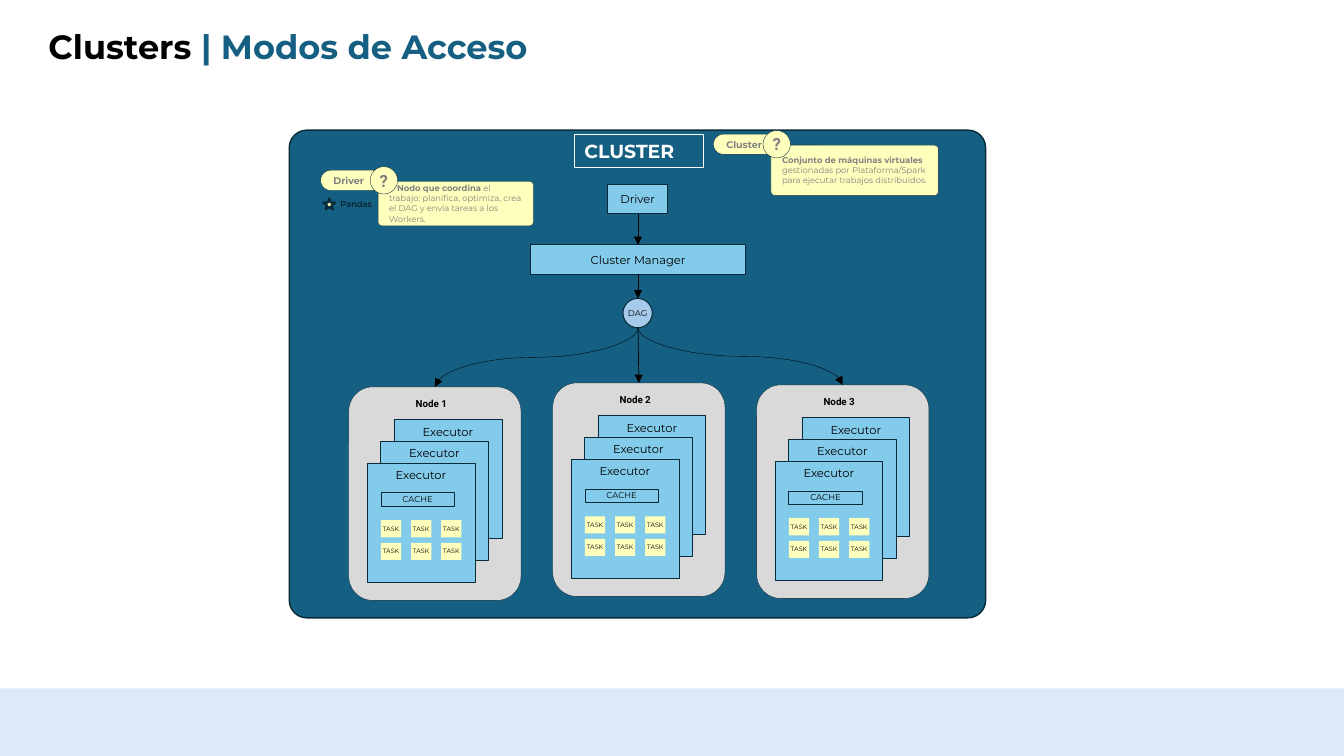
from dataclasses import dataclass

from lxml import etree
from pptx import Presentation
from pptx import util as u
from pptx.dml import color
from pptx.enum import shapes, text
from pptx.oxml import ns

KIND = shapes.MSO_SHAPE
MID, TOP = text.MSO_ANCHOR.MIDDLE, text.MSO_ANCHOR.TOP
LEFT, CENTER = text.PP_ALIGN.LEFT, text.PP_ALIGN.CENTER


@dataclass(frozen=True)
class Theme:
    """Colours, fonts and type sizes of the slide."""
    teal: str = "156082"
    sky: str = "83CBEB"
    lilac: str = "A6CAEC"
    gray: str = "D9D9D9"
    note: str = "FFFFBD"
    pale: str = "DCEAF7"
    edge: str = "092A39"
    mute: str = "808080"
    black: str = "000000"
    white: str = "FFFFFF"
    main: str = "Montserrat"
    side: str = "Roboto"
    title: float = 24
    head: float = 13.5
    mark: float = 12
    body: float = 8.2
    node: float = 7
    pill: float = 6.8
    small: float = 6
    tiny: float = 4.5


T = Theme()


def tint(hue):
    """Return an RGB colour from its hex code."""
    return color.RGBColor.from_string(hue)


def write(shape, runs, size, hue=T.black, font=T.main, align=CENTER,
          anchor=MID, pad=False, indent=0):
    """Fill a shape with one paragraph of (words, bold, colour) runs."""
    frame = shape.text_frame
    frame.word_wrap = True
    frame.vertical_anchor = anchor
    frame.margin_left = frame.margin_right = u.Cm(0.25 if pad else 0)
    frame.margin_top = frame.margin_bottom = u.Cm(0.13 if pad else 0)
    para = frame.paragraphs[0]
    para.alignment = align
    if indent:
        para._p.get_or_add_pPr().set("indent", str(u.Cm(indent)))
    for words, bold, *own in runs:
        run = para.add_run()
        run.text = words
        run.font.name = font
        run.font.size = u.Pt(size)
        run.font.bold = bold
        run.font.color.rgb = tint(own[0] if own else hue)
    return para


def block(page, kind, box, fill=None, line=T.edge, width=0.5, round=None):
    """Draw a flat preset shape in a box given in centimetres."""
    shape = page.shapes.add_shape(kind, *map(u.Cm, box))
    shape.shadow.inherit = False
    if fill:
        shape.fill.solid()
        shape.fill.fore_color.rgb = tint(fill)
    else:
        shape.fill.background()
    if line:
        shape.line.color.rgb = tint(line)
        shape.line.width = u.Pt(width)
    else:
        shape.line.fill.background()
    if round is not None:
        shape.adjustments[0] = round
    return shape


def label(page, box, runs, size, **look):
    """Add a text box and return its paragraph."""
    return write(page.shapes.add_textbox(*map(u.Cm, box)), runs, size, **look)


def arrow(page, start, end, curve=False):
    """Draw an arrow downwards, straight or as an S curve."""
    kind = shapes.MSO_CONNECTOR.CURVE if curve else shapes.MSO_CONNECTOR.STRAIGHT
    link = page.shapes.add_connector(kind, *map(u.Cm, start + end))
    link.line.color.rgb = tint(T.black)
    link.line.width = u.Pt(0.25 if curve else 0.5)
    props = link.element.spPr
    etree.SubElement(link.line._ln, ns.qn("a:tailEnd"), type="triangle")
    etree.SubElement(props, ns.qn("a:effectLst"))
    if curve:
        (ax, ay), (bx, by) = start, end
        wide, high = by - ay, abs(bx - ax)
        link.left = u.Cm((ax + bx - wide) / 2)
        link.top = u.Cm((ay + by - high) / 2)
        link.width, link.height = u.Cm(wide), u.Cm(high)
        frame = props.find(ns.qn("a:xfrm"))
        frame.attrib.pop("flipH", None)
        frame.set("rot", str((90 if bx < ax else 270) * 60000))
        if bx > ax:
            frame.set("flipH", "1")


def node(page, x, y, name):
    """Draw a worker node with its executors, cache and tasks."""
    block(page, KIND.ROUNDED_RECTANGLE, (x, y, 4.34, 5.38), T.gray,
          width=0.25, round=0.14)
    for i in range(3):
        box = (x + 1.14 - 0.34 * i, y + 0.82 + 0.55 * i, 2.72, 3)
        write(block(page, KIND.RECTANGLE, box, T.sky), [("Executor", False)],
              T.body, anchor=TOP, pad=True)
    cache = block(page, KIND.RECTANGLE, (x + 0.81, y + 2.67, 1.85, 0.33), T.sky)
    write(cache, [("CACHE", False)], T.small)
    for i in range(6):
        row, col = divmod(i, 3)
        box = (x + 0.81 + 0.76 * col, y + 3.36 + 0.57 * row, 0.51, 0.43)
        task = block(page, KIND.RECTANGLE, box, T.note, line=None)
        write(task, [("TASK", False)], T.tiny)
    label(page, (x + 1.42, y + 0.13, 1.32, 0.56), [(name, True)], T.node,
          font=T.side)


def hint(page, x, y, name, size, runs, indent=0):
    """Draw a callout: a name pill, a card of text and a question badge."""
    def part(kind, box, round=None):
        return block(page, kind, box, T.note, width=0.25, round=round)

    pill = part(KIND.ROUNDED_RECTANGLE, (x, y, 1.57, 0.51), 0.5)
    write(pill, [(name, True)], T.pill, T.mute, align=LEFT, pad=True)
    card = part(KIND.ROUNDED_RECTANGLE, (x + 1.45, y + 0.28, *size), 0.08)
    write(card, runs, T.small, T.mute, align=LEFT, pad=True, indent=indent)
    badge = part(KIND.OVAL, (x + 1.25, y - 0.09, 0.69, 0.69))
    write(badge, [("?", True)], T.mark, T.mute, T.side)


def main():
    """Build the slide and save it."""
    deck = Presentation()
    deck.slide_width, deck.slide_height = u.Cm(33.87), u.Cm(19.05)
    page = deck.slides.add_slide(deck.slide_layouts[6])

    block(page, KIND.ROUNDED_RECTANGLE, (7.29, 3.28, 17.55, 12.29), T.teal,
          width=1, round=0.036)
    for kind, box, fill, name, size in (
            (KIND.RECTANGLE, (15.32, 4.65, 1.5, 0.74), T.sky, "Driver", T.body),
            (KIND.RECTANGLE, (13.36, 6.17, 5.44, 0.74), T.sky,
             "Cluster Manager", T.body),
            (KIND.OVAL, (15.7, 7.52, 0.74, 0.74), T.lilac, "DAG", T.small)):
        write(block(page, kind, box, fill, width=0.75), [(name, False)], size)

    mid = 16.08
    arrow(page, (mid, 5.39), (mid, 6.17))
    arrow(page, (mid, 6.91), (mid, 7.52))
    for i, y in enumerate((9.75, 9.65, 9.7)):
        x = 8.79 + 5.14 * i
        node(page, x, y, f"Node {i + 1}")
        arrow(page, (mid, 8.26), (x + 2.17, y), curve=i != 1)

    head = block(page, KIND.RECTANGLE, (14.48, 3.38, 3.25, 0.84),
                 line=T.white, width=0.75)
    write(head, [("CLUSTER", True)], T.head, T.white, align=LEFT, anchor=TOP,
          pad=True)
    hint(page, 17.98, 3.38, "Cluster", (4.22, 1.27), [
        ("Conjunto de máquinas virtuales ", True),
        ("gestionadas por Plataforma/Spark para ejecutar trabajos distribuidos.",
         False)])
    hint(page, 8.08, 4.29, "Driver", (3.91, 1.12), [
        ("Nodo que coordina ", True),
        ("el trabajo: planifica, optimiza, crea el DAG y envía tareas a los "
         "Workers.", False)], indent=0.2)
    block(page, KIND.STAR_5_POINT, (8.15, 5, 0.3, 0.28), T.note, width=1.5)
    label(page, (8.33, 4.9, 2.36, 0.51), [("Pandas", False)], T.small,
          align=LEFT, anchor=TOP, pad=True)

    block(page, KIND.RECTANGLE, (0, 17.35, 33.87, 1.7), T.pale, line=None)
    title = label(page, (0.97, 0.48, 21.89, 1.5),
                  [("Clusters ", True), ("| Modos de Acceso", True, T.teal)],
                  T.title, align=LEFT, pad=True)
    title.line_spacing = 0.9
    deck.save("out.pptx")


if __name__ == "__main__":
    main()
